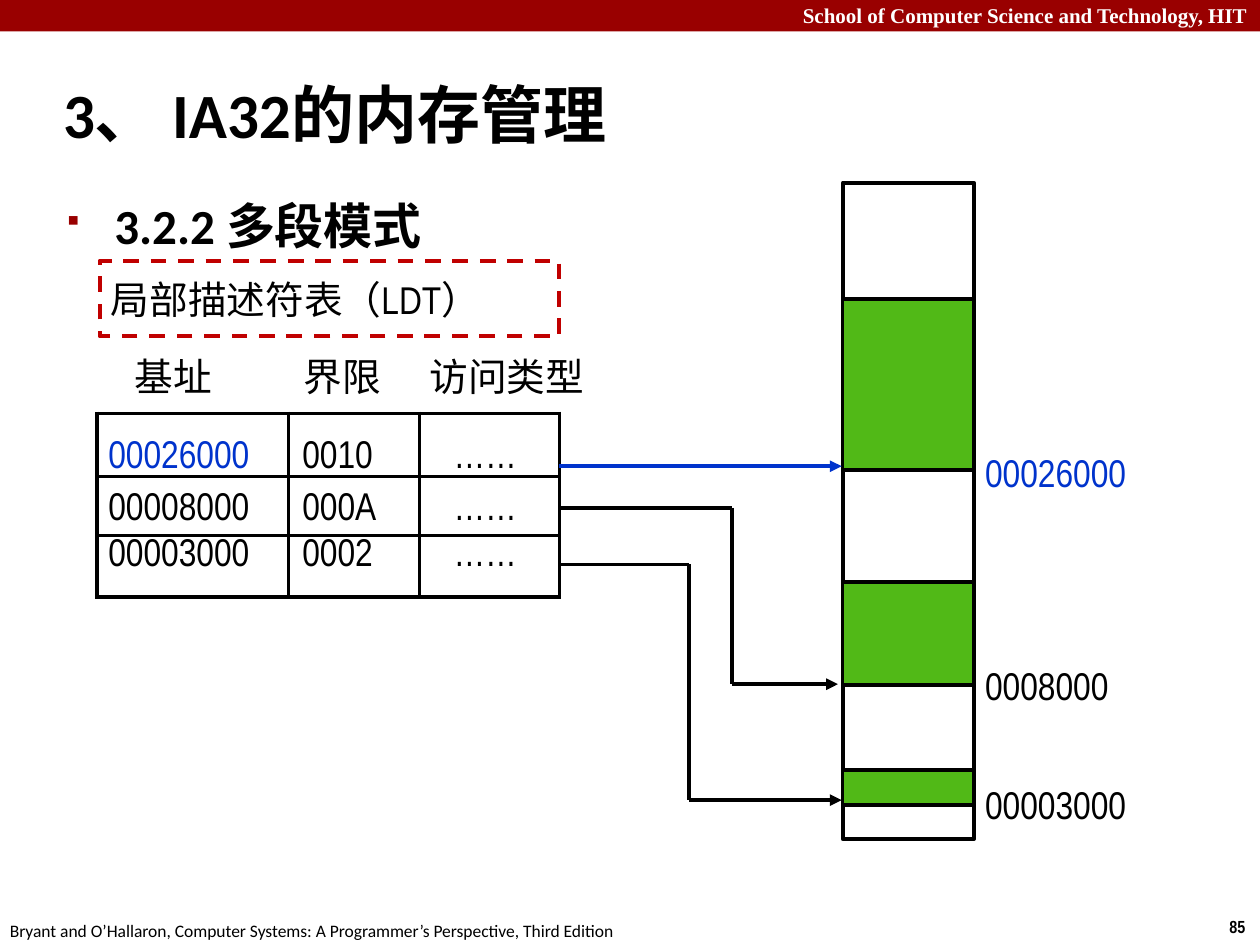
from dataclasses import dataclass
from itertools import pairwise

from lxml import etree
from pptx import Presentation
from pptx.dml.color import RGBColor
from pptx.enum.dml import MSO_LINE
from pptx.enum.shapes import MSO_CONNECTOR, MSO_SHAPE
from pptx.enum.text import MSO_ANCHOR, MSO_AUTO_SIZE, PP_ALIGN
from pptx.oxml.ns import qn
from pptx.util import Inches, Pt

RECT, STRAIGHT, DASH = MSO_SHAPE.RECTANGLE, MSO_CONNECTOR.STRAIGHT, MSO_LINE.DASH
LEFT, RIGHT = PP_ALIGN.LEFT, PP_ALIGN.RIGHT
TOP, MIDDLE, BOTTOM = MSO_ANCHOR.TOP, MSO_ANCHOR.MIDDLE, MSO_ANCHOR.BOTTOM

COLS, ROWS = 100, 75  # grid of square cells over a 10 x 7.5 inch slide
CELL = Inches(10) // COLS
LINE, THIN = Pt(2.25), Pt(1)
BLACK, WHITE, BLUE, GREEN = "000000", "FFFFFF", "0033CC", "51B917"
MAROON, RED = "990000", "C00000"
NARROW, SANS, SERIF = "Arial Narrow", "Calibri", "Times New Roman"


@dataclass
class Label:
    text: str
    x: float
    y: float
    w: float
    h: float
    size: float = 22.1
    font: str = NARROW
    color: str = BLACK
    bold: bool = False
    align: PP_ALIGN = LEFT
    anchor: MSO_ANCHOR = MIDDLE
    wrap: bool = False


@dataclass
class Route:
    points: list[tuple[float, float]]
    color: str = BLACK
    arrow: bool = True


@dataclass
class Descriptor:
    cells: tuple[str, str, str]
    height: float
    anchor: MSO_ANCHOR
    top_inset: float = 0
    base_color: str = BLACK


LABELS = [
    Label("School of Computer Science and Technology, HIT", 0, -0.3, 100, 3,
          12, SERIF, WHITE, True, RIGHT, TOP, True),
    Label("Bryant and O’Hallaron, Computer Systems: A Programmer’s Perspective, Third Edition",
          -0.2, 72.5, 50.8, 2.7, 10, SANS, anchor=TOP),
    Label("85", 96.6, 72.2, 3.4, 2.7, 10, bold=True, anchor=TOP),
    Label("00026000", 77.2, 35.1, 14.9, 4.7, color=BLUE),
    Label("0008000", 77.2, 52, 14.9, 4.7),
    Label("00003000", 77.2, 61.5, 14.9, 4.7),
]
HEADER = Label("基址\t界限\t访问类型", 9.7, 27.8, 38, 4.4, anchor=BOTTOM)
HEADER_TABS = [13.4, 23.4]
TABLE_X, TABLE_Y = 7.7, 32.8
COLUMN_WIDTHS = [15.2, 10.4, 11.1]
COLUMN_INSETS = [0.9, 1.1, 2.7]
DESCRIPTORS = [
    Descriptor(("00026000", "0010", "……"), 5, BOTTOM, base_color=BLUE),
    Descriptor(("00008000", "000A", "……"), 4.7, MIDDLE, 0.8),
    Descriptor(("00003000", "0002", "……"), 4.9, TOP, 0.2),
]
MEMORY_X, MEMORY_W = 66.9, 10.4
MEMORY_TOP, MEMORY_BOTTOM = 14.5, 66.6
SEGMENTS = [(23.7, 37.3), (46.2, 54.4), (61.1, 63.9)]
ROUTES = [
    Route([(44.4, 37), (66.8, 37)], BLUE),
    Route([(44.4, 40.3), (58.1, 40.3), (58.1, 54.3), (66.5, 54.3)]),
    Route([(44.4, 44.8), (54.7, 44.8), (54.7, 63.5), (66.8, 63.5)]),
]


def grid(*values: float) -> list[int]:
    return [round(v * CELL) for v in values]


def rgb(color: str) -> RGBColor:
    return RGBColor.from_string(color)


def add_run(p, text: str, size: float, font: str, color: str, bold: bool = False):
    r = p.add_run()
    r.text = text
    r.font.size, r.font.name, r.font.bold = Pt(size), font, bold
    r.font.color.rgb = rgb(color)


def add_label(s, label: Label):
    tf = s.shapes.add_textbox(*grid(label.x, label.y, label.w, label.h)).text_frame
    tf.word_wrap, tf.vertical_anchor = label.wrap, label.anchor
    p = tf.paragraphs[0]
    p.alignment = label.align
    add_run(p, label.text, label.size, label.font, label.color, label.bold)
    return tf


def add_box(s, x: float, y: float, w: float, h: float, fill: str | None = None,
            line: str | None = BLACK, width: int = LINE):
    sp = s.shapes.add_shape(RECT, *grid(x, y, w, h))
    sp.shadow.inherit = False
    if fill:
        sp.fill.solid()
        sp.fill.fore_color.rgb = rgb(fill)
    else:
        sp.fill.background()
    if line:
        sp.line.color.rgb, sp.line.width = rgb(line), width
    else:
        sp.line.fill.background()
    return sp


def add_route(s, route: Route):
    """Joined straight segments, with an arrowhead on the last one if asked."""
    for start, end in pairwise(route.points):
        cx = s.shapes.add_connector(STRAIGHT, *grid(*start, *end))
        cx.line.color.rgb, cx.line.width = rgb(route.color), LINE
        etree.SubElement(cx.element.spPr, qn("a:effectLst"))
    if route.arrow:
        etree.SubElement(cx.line._get_or_add_ln(), qn("a:tailEnd"), type="triangle")


def add_borders(cell):
    tc_pr = cell._tc.get_or_add_tcPr()
    for side in ("lnL", "lnR", "lnT", "lnB"):
        ln = etree.SubElement(tc_pr, qn(f"a:{side}"), w=str(LINE))
        fill = etree.SubElement(ln, qn("a:solidFill"))
        etree.SubElement(fill, qn("a:srgbClr"), val=BLACK)


def add_descriptor_table(s):
    height = sum(d.height for d in DESCRIPTORS)
    frame = s.shapes.add_table(len(DESCRIPTORS), len(COLUMN_WIDTHS),
                               *grid(TABLE_X, TABLE_Y, sum(COLUMN_WIDTHS), height))
    table = frame.table
    table.first_row = table.horz_banding = False
    for column, width in zip(table.columns, grid(*COLUMN_WIDTHS)):
        column.width = width
    for row, d in zip(table.rows, DESCRIPTORS):
        row.height, top_inset = grid(d.height, d.top_inset)
        colors = (d.base_color, BLACK, BLACK)
        for cell, text, color, inset in zip(row.cells, d.cells, colors, grid(*COLUMN_INSETS)):
            add_borders(cell)
            cell.fill.background()
            cell.margin_left, cell.margin_top = inset, top_inset
            cell.margin_right = cell.margin_bottom = 0
            cell.vertical_anchor = d.anchor
            add_run(cell.text_frame.paragraphs[0], text, 22.1, NARROW, color)


def add_table_header(s):
    p_pr = add_label(s, HEADER).paragraphs[0]._p.get_or_add_pPr()
    tabs = etree.SubElement(p_pr, qn("a:tabLst"))
    for position in grid(*HEADER_TABS):
        etree.SubElement(tabs, qn("a:tab"), pos=str(position), algn="l")


def add_memory(s):
    right = MEMORY_X + MEMORY_W
    add_box(s, MEMORY_X, MEMORY_TOP, MEMORY_W, MEMORY_BOTTOM - MEMORY_TOP)
    for top, bottom in SEGMENTS:
        add_box(s, MEMORY_X, top, MEMORY_W - 0.1, bottom - top, GREEN, width=THIN)
        for edge in (top, bottom):
            add_route(s, Route([(MEMORY_X, edge), (right, edge)], arrow=False))


def add_title(s):
    title = s.shapes.title
    title.left, title.top, title.width, title.height = grid(4, 4.2, 95.8, 8.3)
    tf = title.text_frame
    tf.auto_size, tf.vertical_anchor = MSO_AUTO_SIZE.NONE, BOTTOM
    p = tf.paragraphs[0]
    p.alignment = LEFT
    add_run(p, "3、 IA32的内存管理", 36, SANS, BLACK, True)


def add_heading(s):
    tf = add_label(s, Label("3.2.2 多段模式", 4.3, 15, 94, 57.6, 28, SANS,
                            bold=True, anchor=TOP, wrap=True))
    p = tf.paragraphs[0]
    p.space_before = Pt(5.6)
    p_pr = p._p.get_or_add_pPr()
    indent = Inches(0.38)
    p_pr.set("marL", str(indent))
    p_pr.set("indent", str(-indent))
    color = etree.SubElement(p_pr, qn("a:buClr"))
    etree.SubElement(color, qn("a:srgbClr"), val=MAROON)
    etree.SubElement(p_pr, qn("a:buSzPct"), val="60000")
    etree.SubElement(p_pr, qn("a:buFont"), typeface="Wingdings", charset="2")
    etree.SubElement(p_pr, qn("a:buChar"), char="§")


def add_table_caption(s):
    sp = add_box(s, 7.9, 20.7, 36.5, 6, line=RED)
    sp.line.dash_style = DASH
    tf = sp.text_frame
    tf.word_wrap, tf.vertical_anchor = False, MIDDLE
    tf.margin_left = grid(0.9)[0]
    p = tf.paragraphs[0]
    p.alignment = LEFT
    add_run(p, "局部描述符表（LDT）", 22.1, NARROW, BLACK)


def main():
    prs = Presentation()
    prs.slide_width, prs.slide_height = grid(COLS, ROWS)
    s = prs.slides.add_slide(prs.slide_layouts[5])
    add_box(s, 0, 0, COLS, 2.5, MAROON, None)
    add_title(s)
    add_heading(s)
    add_table_caption(s)
    add_table_header(s)
    add_descriptor_table(s)
    add_memory(s)
    for label in LABELS:
        add_label(s, label)
    for route in ROUTES:
        add_route(s, route)
    prs.save("out.pptx")


if __name__ == "__main__":
    main()
